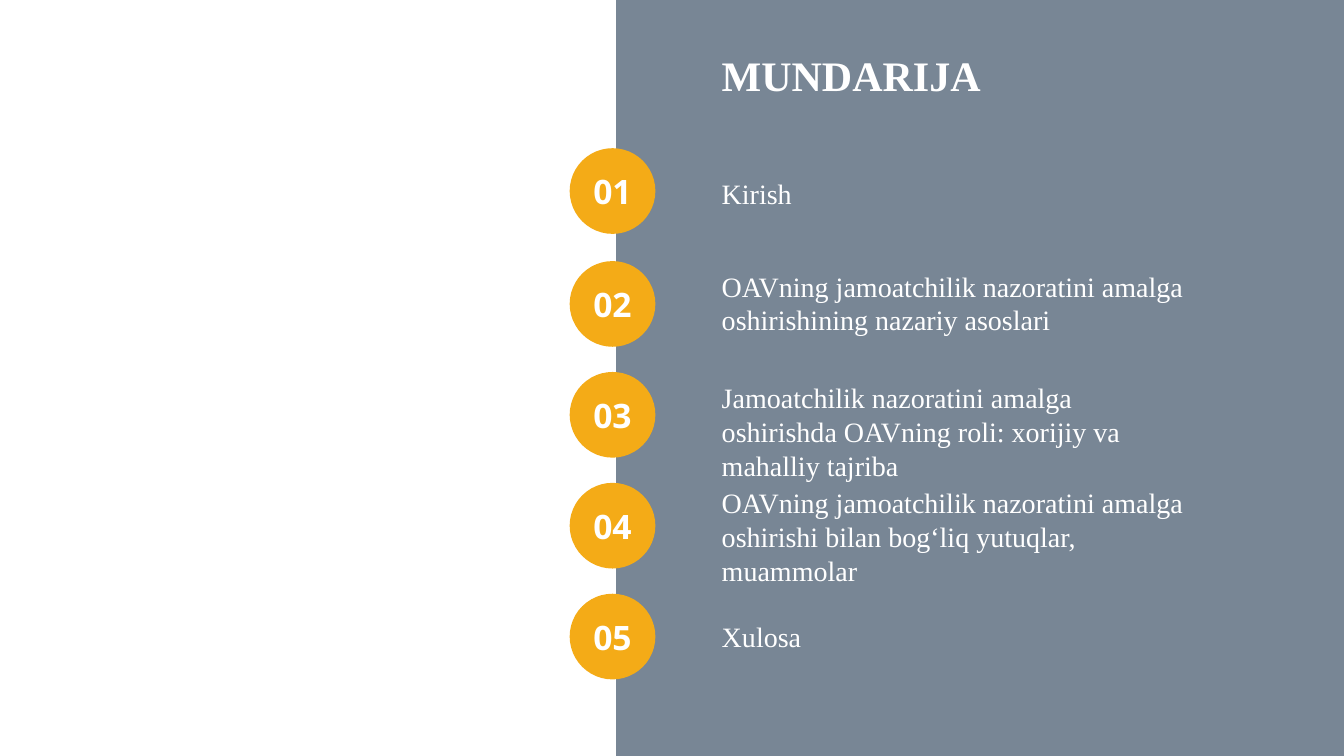
from lxml import etree
from pptx import Presentation
from pptx import util as u
from pptx.dml.color import RGBColor
from pptx.enum import shapes, text
from pptx.oxml import ns

COLORS = {"panel": "57687B", "badge": "F4AB17", "text": "FFFFFF"}
BADGE_LEFT, BADGE_SIZE = 5.65, 0.85
TEXT_LEFT, TEXT_WIDTH = 7.06, 4.88

# Badge top, text top, text height, wording
CHAPTERS = [
    (1.47, 1.70, 0.44, "Kirish"),
    (2.59, 2.62, 0.77, "OAVning jamoatchilik nazoratini amalga oshirishining nazariy asoslari"),
    (3.69, 3.73, 0.77, "Jamoatchilik nazoratini amalga oshirishda OAVning roli: xorijiy va mahalliy tajriba"),
    (4.79, 4.77, 1.11, "OAVning jamoatchilik nazoratini amalga oshirishi bilan bog‘liq yutuqlar, muammolar"),
    (5.89, 6.10, 0.44, "Xulosa"),
]


class ContentsSlide:
    body_font = "Times New Roman"
    badge_font = "Open Sans"

    def __init__(self, slide):
        self.slide = slide

    def add_run(self, paragraph, wording, size, font, bold=False):
        run = paragraph.add_run()
        run.text = wording
        run.font.name = font
        run.font.size = u.Pt(size)
        run.font.bold = bold
        run.font.color.rgb = RGBColor.from_string(COLORS["text"])

    def add_shape(self, kind, box, color):
        shape = self.slide.shapes.add_shape(kind, *map(u.Inches, box))
        shape.shadow.inherit = False
        shape.fill.solid()
        shape.fill.fore_color.rgb = RGBColor.from_string(COLORS[color])
        shape.line.fill.background()
        return shape

    def add_panel(self, box, opacity):
        panel = self.add_shape(shapes.MSO_SHAPE.RECTANGLE, box, "panel")
        fill_color = panel.fill._xPr.find(".//" + ns.qn("a:srgbClr"))
        alpha = etree.SubElement(fill_color, ns.qn("a:alpha"))
        alpha.set("val", str(opacity * 1000))

    def add_badge(self, top, number):
        box = (BADGE_LEFT, top, BADGE_SIZE, BADGE_SIZE)
        badge = self.add_shape(shapes.MSO_SHAPE.OVAL, box, "badge")
        frame = badge.text_frame
        frame.vertical_anchor = text.MSO_ANCHOR.MIDDLE
        paragraph = frame.paragraphs[0]
        paragraph.alignment = text.PP_ALIGN.CENTER
        self.add_run(paragraph, f"{number:02d}", 24, self.badge_font, bold=True)

    def add_text(self, box, wording, size, bold=False):
        frame = self.slide.shapes.add_textbox(*map(u.Inches, box)).text_frame
        frame.word_wrap = True
        frame.auto_size = text.MSO_AUTO_SIZE.SHAPE_TO_FIT_TEXT
        self.add_run(frame.paragraphs[0], wording, size, self.body_font, bold)


def main():
    presentation = Presentation()
    presentation.slide_width = u.Inches(13.33)
    presentation.slide_height = u.Inches(7.5)
    contents = ContentsSlide(presentation.slides.add_slide(presentation.slide_layouts[6]))

    # Right panel and title
    contents.add_panel((6.11, 0, 7.22, 7.51), opacity=80)
    contents.add_text((TEXT_LEFT, 0.44, 2.83, 0.61), "MUNDARIJA", 30, bold=True)

    # Numbered chapters
    for number, (badge_top, text_top, height, wording) in enumerate(CHAPTERS, start=1):
        contents.add_badge(badge_top, number)
        contents.add_text((TEXT_LEFT, text_top, TEXT_WIDTH, height), wording, 20)

    presentation.save("out.pptx")


if __name__ == "__main__":
    main()
